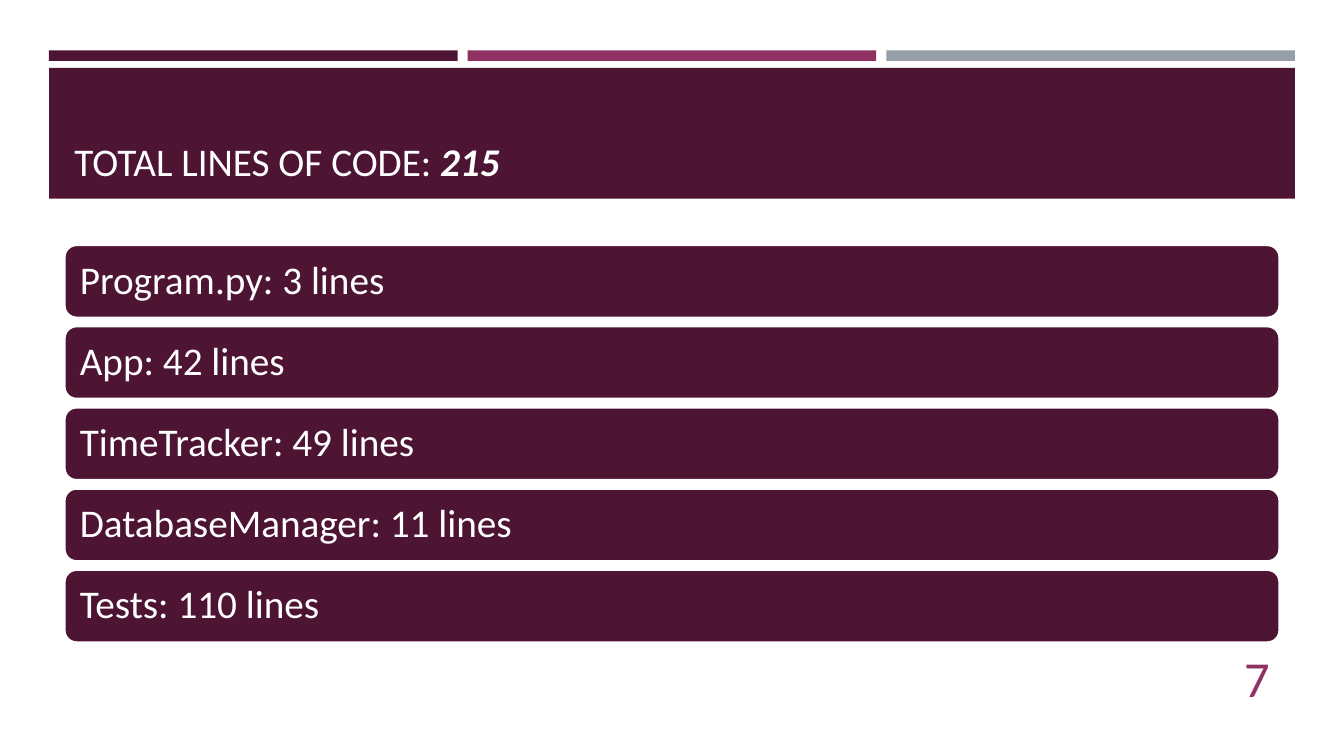
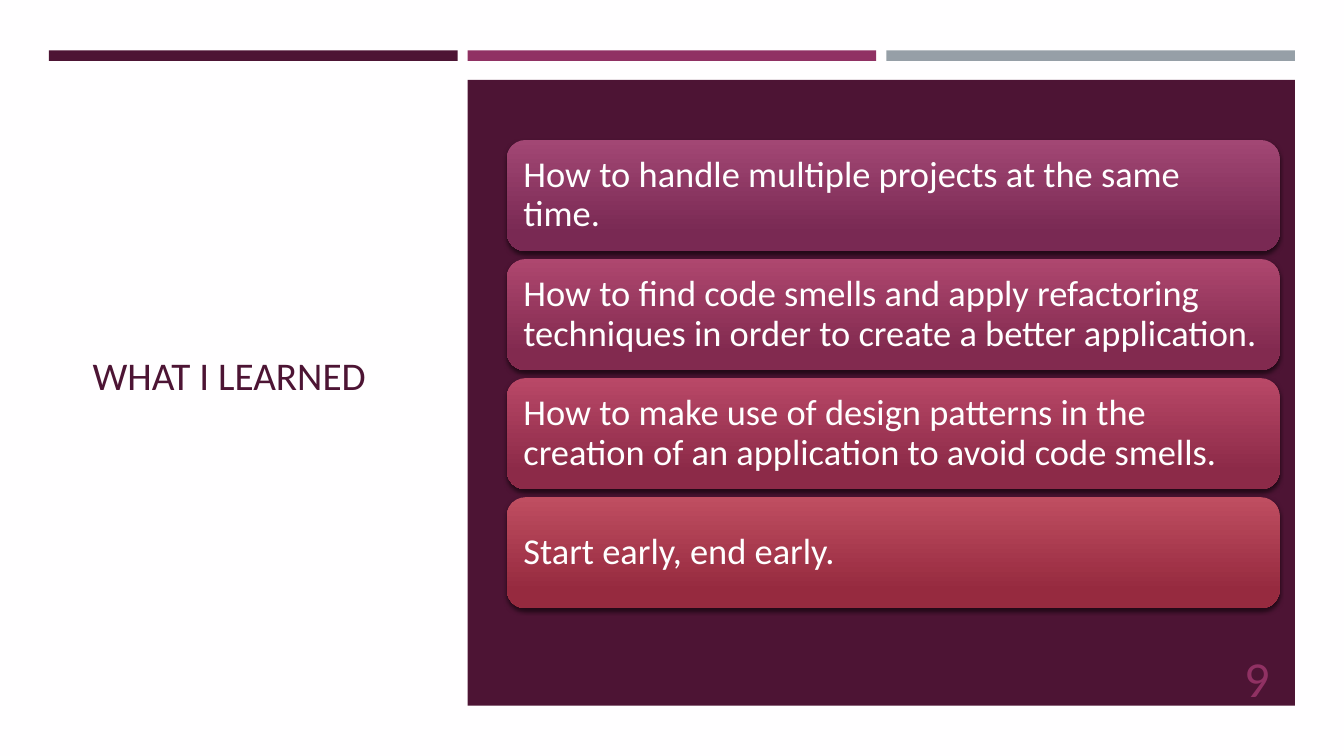
from dataclasses import dataclass
from lxml.etree import SubElement
from pptx import Presentation
from pptx.dml.color import RGBColor
from pptx.enum.shapes import MSO_SHAPE
from pptx.enum.text import MSO_ANCHOR, MSO_AUTO_SIZE, PP_ALIGN
from pptx.oxml.ns import qn
from pptx.util import Pt


@dataclass(frozen=True)
class Theme:
    """Colours, font and type sizes shared by the slides."""
    font: str = "Calibri"
    plum: str = "4D1434"
    magenta: str = "903163"
    grey: str = "969FA7"
    white: str = "FFFFFF"
    paper: str = "FFFEFF"
    title: int = 28
    row: int = 28
    card: int = 26
    number: int = 36


T = Theme()
TITLE_ONLY = 5
CONTENT_RIGHT = 914


def rgb(color):
    """Turn a hex string into a colour."""
    return RGBColor.from_string(color)


def place(sp, box):
    """Move and size a shape to a box in points."""
    sp.left, sp.top, sp.width, sp.height = (Pt(v) for v in box)


def add_run(p, text, size, color, strong=False):
    """Append one formatted run to a paragraph."""
    r = p.add_run()
    r.text = text
    r.font.name, r.font.size = T.font, Pt(size)
    r.font.color.rgb = rgb(color)
    if strong:
        r.font.bold = r.font.italic = True


def add_block(s, box, color=None, kind=MSO_SHAPE.RECTANGLE):
    """Draw a flat shape with no line and no shadow."""
    sp = s.shapes.add_shape(kind, *(Pt(v) for v in box))
    sp.shadow.inherit = False
    sp.line.fill.background()
    if color:
        sp.fill.solid()
        sp.fill.fore_color.rgb = rgb(color)
    return sp


def add_bars(s, box, gap=7.2):
    """Split the box into the three coloured bars at the top."""
    x, y, w, h = box
    colors = (T.plum, T.magenta, T.grey)
    bar = (w - gap * (len(colors) - 1)) / len(colors)
    for i, color in enumerate(colors):
        add_block(s, (x + i * (bar + gap), y, bar, h), color)


def set_title(s, box, runs, color, anchor):
    """Fill the title placeholder from (text, strong) pairs."""
    title = s.shapes.title
    place(title, box)
    tf = title.text_frame
    tf.word_wrap, tf.auto_size = True, MSO_AUTO_SIZE.NONE
    tf.vertical_anchor = anchor
    p = tf.paragraphs[0]
    p.alignment = PP_ALIGN.LEFT
    for text, strong in runs:
        add_run(p, text, T.title, color, strong)


def add_number(s, box, text):
    """Write the page number, right aligned in the box."""
    tf = s.shapes.add_textbox(*(Pt(v) for v in box)).text_frame
    tf.word_wrap = True
    tf.vertical_anchor = MSO_ANCHOR.MIDDLE
    p = tf.paragraphs[0]
    p.alignment = PP_ALIGN.RIGHT
    add_run(p, text, T.number, T.magenta)


def add_stack(s, box, gap, texts, size, inset):
    """Share the box among equal rounded cards and return them."""
    x, y, w, h = box
    height = (h - gap * (len(texts) - 1)) / len(texts)
    cards = []
    for i, text in enumerate(texts):
        sp = add_block(s, (x, y + i * (height + gap), w, height), T.plum,
                       MSO_SHAPE.ROUNDED_RECTANGLE)
        tf = sp.text_frame
        tf.word_wrap = True
        tf.vertical_anchor = MSO_ANCHOR.MIDDLE
        tf.margin_left = tf.margin_right = Pt(inset)
        tf.margin_top = tf.margin_bottom = Pt(inset)
        p = tf.paragraphs[0]
        p.alignment, p.line_spacing = PP_ALIGN.LEFT, 0.9
        add_run(p, text, size, T.white)
        cards.append(sp)
    return cards


def outline(sp):
    """Give a card its white line."""
    sp.line.color.rgb = rgb(T.white)
    sp.line.width = Pt(1.75)


def shade(sp, top, bottom):
    """Give a card a downward gradient and a soft shadow."""
    sp.fill.gradient()
    sp.fill.gradient_angle = 270
    for stop, color, position in zip(sp.fill.gradient_stops, (top, bottom), (0, 0.84)):
        stop.color.rgb = rgb(color)
        stop.position = position
    effects = sp.element.spPr.find(qn("a:effectLst"))
    shadow = SubElement(effects, qn("a:outerShdw"), blurRad=str(Pt(3)),
                        dist=str(Pt(2)), dir="5400000", rotWithShape="0")
    black = SubElement(shadow, qn("a:srgbClr"), val="000000")
    SubElement(black, qn("a:alpha"), val="55000")


def start_slide(prs, background):
    """Add a title slide with its background and top bars."""
    s = prs.slides.add_slide(prs.slide_layouts[TITLE_ONLY])
    s.background.fill.solid()
    s.background.fill.fore_color.rgb = rgb(background)
    add_bars(s, (35, 36, 890, 7.5))
    return s


def band_slide(prs, runs, rows, number):
    """Build a slide with a title band above full-width rows."""
    s = start_slide(prs, T.white)
    band = add_block(s, (35, 48.5, 890, 93.5), T.plum)
    s.shapes.title.element.addprevious(band.element)
    set_title(s, (46, 55.5, 868, 80), runs, T.white, MSO_ANCHOR.BOTTOM)
    for sp in add_stack(s, (46, 175, 868, 284), 6, rows, T.row, 8.5):
        outline(sp)
    add_number(s, (CONTENT_RIGHT - 83, 469, 83, 29), number)


def panel_slide(prs, runs, cards, number):
    """Build a slide with a side title and a panel of shaded cards."""
    s = start_slide(prs, T.paper)
    set_title(s, (59, 82, 240.5, 371), runs, T.plum, MSO_ANCHOR.MIDDLE)
    add_block(s, (334, 57, 591, 447), T.plum)
    shapes = add_stack(s, (362, 100, 552, 334.5), 5.7, list(cards), T.card, 8)
    for sp, colors in zip(shapes, cards.values()):
        shade(sp, *colors)
    add_number(s, (CONTENT_RIGHT - 83, 469, 83, 29), number)


def main():
    """Build and save the presentation."""
    prs = Presentation()
    prs.slide_width, prs.slide_height = Pt(960), Pt(540)
    band_slide(prs, [("TOTAL LINES OF CODE: ", False), ("215", True)], [
        "Program.py: 3 lines",
        "App: 42 lines",
        "TimeTracker: 49 lines",
        "DatabaseManager: 11 lines",
        "Tests: 110 lines",
    ], "7")
    panel_slide(prs, [("WHAT I LEARNED", False)], {
        "How to handle multiple projects at the same time.": ("A24774", "792953"),
        "How to find code smells and apply refactoring techniques "
        "in order to create a better application.": ("AE476F", "822A4F"),
        "How to make use of design patterns in the creation of an "
        "application to avoid code smells.": ("B94867", "8C2A48"),
        "Start early, end early.": ("BF4E61", "962A3F"),
    }, "9")
    prs.save("out.pptx")


main()
